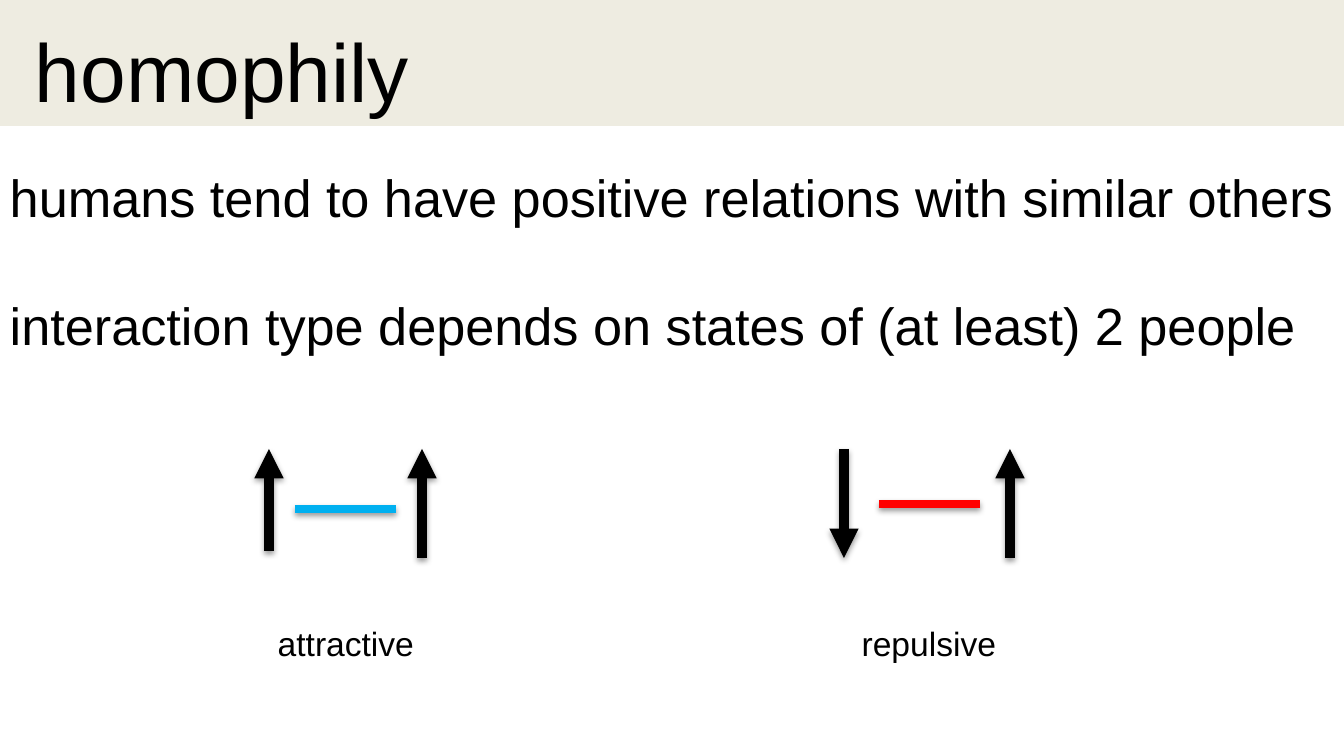
from lxml import etree
from pptx import Presentation
from pptx import util as u
from pptx.dml.color import RGBColor
from pptx.enum import shapes, text
from pptx.oxml import parse_xml
from pptx.oxml.ns import nsdecls, qn

BLACK = RGBColor(0x00, 0x00, 0x00)
BEIGE = RGBColor(0xEE, 0xEC, 0xE1)
BLUE = RGBColor(0x00, 0xB0, 0xF0)
RED = RGBColor(0xFF, 0x00, 0x00)

FONT = "Arial"
TITLE = "homophily"
STATEMENTS = [
    "humans tend to have positive relations with similar others",
    "interaction type depends on states of (at least) 2 people",
]
ARROW_TOP = 449
ARROWS = [
    (269, 551, "up"),
    (422, 558, "up"),
    (844, 558, "down"),
    (1010, 558, "up"),
]
BOND_LENGTH = 101
BONDS = [(295, 509, BLUE), (879, 504, RED)]
LABELS = [("attractive", 271, 151), ("repulsive", 855, 149)]
SHADOW = (
    f'<a:effectLst {nsdecls("a")}>'
    '<a:outerShdw blurRad="38100" dist="20320" dir="5400000" rotWithShape="0">'
    '<a:srgbClr val="000000"><a:alpha val="38000"/></a:srgbClr>'
    '</a:outerShdw></a:effectLst>'
)


def px(value):
    return u.Emu(round(value * 914400 / 134.4))


def place(shape, left, top, width, height):
    shape.left, shape.top = px(left), px(top)
    shape.width, shape.height = px(width), px(height)


def format_text(text_frame, size, wrap=True):
    text_frame.word_wrap = wrap
    text_frame.auto_size = text.MSO_AUTO_SIZE.NONE
    text_frame.margin_left = text_frame.margin_right = u.Inches(0.05)
    text_frame.margin_top = text_frame.margin_bottom = u.Inches(0.05)
    for paragraph in text_frame.paragraphs:
        paragraph.alignment = text.PP_ALIGN.LEFT
        for run in paragraph.runs:
            run.font.name = FONT
            run.font.size = u.Pt(size)
            run.font.color.rgb = BLACK


def add_line(slide, start, end, color, weight, arrow=False):
    line = slide.shapes.add_connector(
        shapes.MSO_CONNECTOR.STRAIGHT, *map(px, start + end))
    line.line.color.rgb = color
    line.line.width = u.Pt(weight)
    if arrow:
        etree.SubElement(line.line._get_or_add_ln(), qn("a:tailEnd"), type="triangle")
    line._element.spPr.append(parse_xml(SHADOW))


def add_band(slide):
    band = slide.shapes.add_shape(
        shapes.MSO_SHAPE.RECTANGLE, 0, 0, px(1344), px(126))
    band.shadow.inherit = False
    band.fill.solid()
    band.fill.fore_color.rgb = BEIGE
    band.line.fill.background()
    slide.shapes._spTree.insert(2, band._element)


def fill_placeholders(slide):
    title = slide.shapes.title
    place(title, 28, 7, 1250, 126)
    title.text_frame.text = TITLE
    title.text_frame.vertical_anchor = text.MSO_ANCHOR.MIDDLE
    format_text(title.text_frame, 44)

    body = slide.placeholders[1]
    place(body, 3, 159, 1341, 203)
    body.text_frame.text = "\n".join(STATEMENTS)
    for index, paragraph in enumerate(body.text_frame.paragraphs):
        properties = paragraph._p.get_or_add_pPr()
        properties.set("marL", "0")
        properties.set("indent", "0")
        etree.SubElement(properties, qn("a:buNone"))
        paragraph.space_before = u.Pt(34.5 if index else 0)
    format_text(body.text_frame, 28)


def main():
    presentation = Presentation()
    presentation.slide_width, presentation.slide_height = px(1344), px(756)
    slide = presentation.slides.add_slide(presentation.slide_layouts[1])
    add_band(slide)
    fill_placeholders(slide)

    for x, bottom, direction in ARROWS:
        start, end = (x, bottom), (x, ARROW_TOP)
        if direction == "down":
            start, end = end, start
        add_line(slide, start, end, BLACK, 5.25, arrow=True)
    for x, y, color in BONDS:
        add_line(slide, (x, y), (x + BOND_LENGTH, y), color, 4.25)
    for label, left, width in LABELS:
        box = slide.shapes.add_textbox(px(left), px(616), px(width), px(54))
        box.text_frame.text = label
        format_text(box.text_frame, 18, wrap=False)

    presentation.save("out.pptx")


if __name__ == "__main__":
    main()
